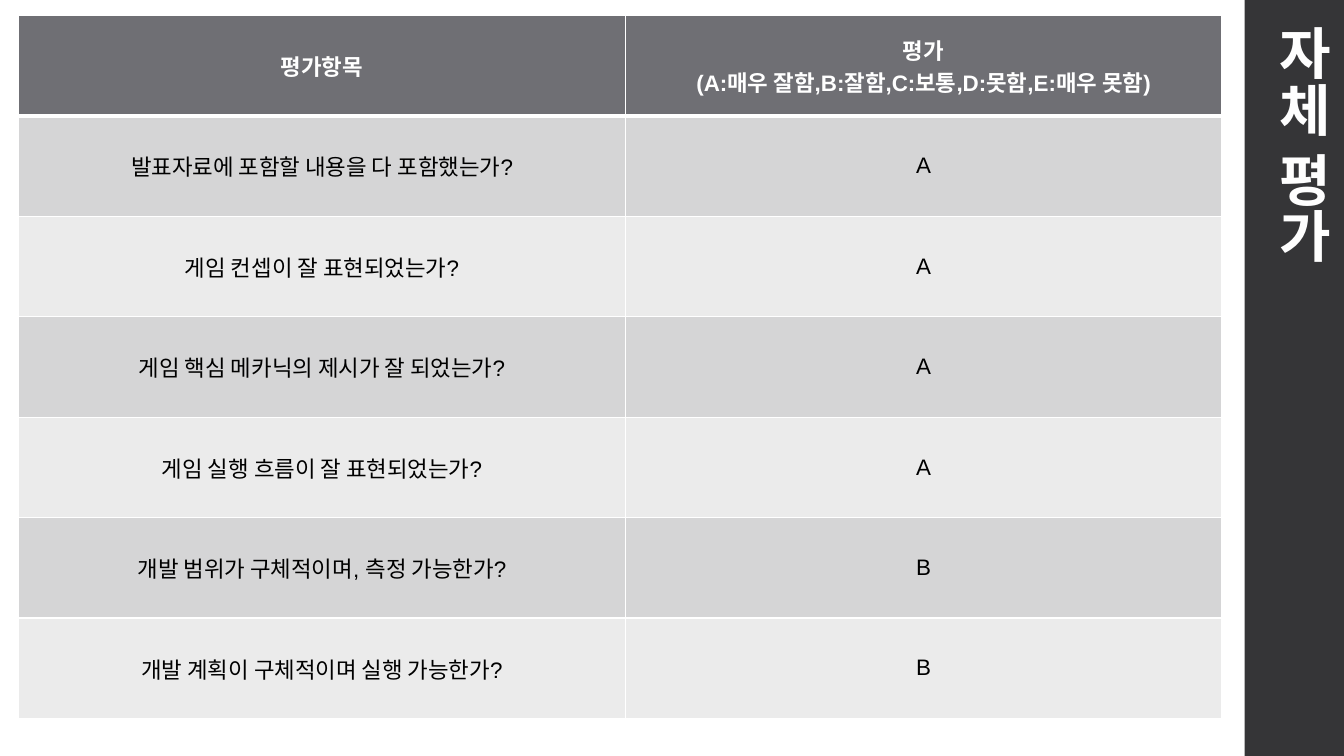
from dataclasses import dataclass

from lxml import etree
from pptx import Presentation
from pptx.dml.color import RGBColor
from pptx.enum.shapes import MSO_SHAPE
from pptx.enum.text import MSO_ANCHOR, MSO_AUTO_SIZE, PP_ALIGN
from pptx.oxml.ns import qn
from pptx.util import Pt

RECT = MSO_SHAPE.RECTANGLE
TOP, MIDDLE = MSO_ANCHOR.TOP, MSO_ANCHOR.MIDDLE
LEFT, CENTER = PP_ALIGN.LEFT, PP_ALIGN.CENTER
GROW = MSO_AUTO_SIZE.SHAPE_TO_FIT_TEXT
TITLE_ONLY = 5


@dataclass(frozen=True)
class Theme:
    sidebar: str = "353537"
    title: str = "FEFEFE"
    outline: str = "6F6F74"
    shadow: str = "000000"
    header: str = "6F6F74"
    header_text: str = "FFFFFF"
    bands: tuple = ("D5D5D6", "EBEBEB")
    body_text: str = "000000"
    border: str = "FFFFFF"
    title_font: str = "Cambria"
    table_font: str = "Arial"
    title_size: int = 40
    table_size: int = 16


THEME = Theme()
COLUMN_WIDTHS = (433.4, 426)
ROW_HEIGHT = 71.75
HEADINGS = ("평가항목", "평가\n(A:매우 잘함,B:잘함,C:보통,D:못함,E:매우 못함)")
RATINGS = (
    ("발표자료에 포함할 내용을 다 포함했는가?", "A"),
    ("게임 컨셉이 잘 표현되었는가?", "A"),
    ("게임 핵심 메카닉의 제시가 잘 되었는가?", "A"),
    ("게임 실행 흐름이 잘 표현되었는가?", "A"),
    ("개발 범위가 구체적이며, 측정 가능한가?", "B"),
    ("개발 계획이 구체적이며 실행 가능한가?", "B"),
)


def rgb(color):
    return RGBColor.from_string(color)


def add_child(parent, tag, **attrs):
    child = etree.SubElement(parent, qn(tag))
    for name, value in attrs.items():
        child.set(name, str(value))
    return child


def add_solid_fill(parent, color):
    return add_child(add_child(parent, "a:solidFill"), "a:srgbClr", val=color)


def style_font(font, name, size, color, bold):
    font.name = name
    font.size = Pt(size)
    font.color.rgb = rgb(color)
    font.bold = bold


def add_sidebar(s):
    sp = s.shapes.add_shape(RECT, Pt(889), Pt(0), Pt(71), Pt(540))
    sp.shadow.inherit = False
    sp.fill.solid()
    sp.fill.fore_color.rgb = rgb(THEME.sidebar)
    sp.line.fill.background()


def set_border(cell, side, width):
    ln = etree.Element(qn(f"a:ln{side}"), w=str(Pt(width)))
    add_solid_fill(ln, THEME.border)
    tcPr = cell._tc.get_or_add_tcPr()
    tcPr.insert(len(tcPr.findall("*")) - 1, ln)


def fill_cell(cell, text, fill, color, bold, top, bottom):
    cell.fill.solid()
    cell.fill.fore_color.rgb = rgb(fill)
    cell.vertical_anchor = MIDDLE
    cell.text = text
    for p in cell.text_frame.paragraphs:
        p.alignment = CENTER
        style_font(p.font, THEME.table_font, THEME.table_size, color, bold)
    for side, width in (("L", 1), ("R", 1), ("T", top), ("B", bottom)):
        set_border(cell, side, width)


def add_ratings_table(s):
    rows = (HEADINGS, *RATINGS)
    frame = s.shapes.add_table(len(rows), len(COLUMN_WIDTHS), Pt(13.3), Pt(11),
                               Pt(sum(COLUMN_WIDTHS)), Pt(ROW_HEIGHT * len(rows)))
    table = frame.table
    for column, width in zip(table.columns, COLUMN_WIDTHS):
        column.width = Pt(width)
    for i, texts in enumerate(rows):
        table.rows[i].height = Pt(ROW_HEIGHT)
        header = i == 0
        fill = THEME.header if header else THEME.bands[(i - 1) % 2]
        color = THEME.header_text if header else THEME.body_text
        top, bottom = 3 if i == 1 else 1, 3 if header else 1
        for j, text in enumerate(texts):
            fill_cell(table.cell(i, j), text, fill, color, header, top, bottom)


def add_text_effects(r):
    rPr = r._r.get_or_add_rPr()
    rPr.set("spc", "50")
    ln = etree.Element(qn("a:ln"), w=str(Pt(0.75)))
    add_solid_fill(ln, THEME.outline)
    rPr.insert(0, ln)
    effects = etree.Element(qn("a:effectLst"))
    shadow = add_child(effects, "a:outerShdw", blurRad=Pt(3), dist=Pt(2),
                       dir=2700000, algn="tl")
    add_child(add_child(shadow, "a:srgbClr", val=THEME.shadow), "a:alpha", val=40000)
    rPr.find(qn("a:solidFill")).addnext(effects)


def set_vertical_title(s, text):
    sp = s.shapes.title
    s.shapes._spTree.append(sp._element)
    sp.left, sp.top, sp.width, sp.height = Pt(898.5), Pt(14.4), Pt(63.4), Pt(346.3)
    tf = sp.text_frame
    tf.word_wrap = True
    tf.auto_size = GROW
    tf.vertical_anchor = TOP
    tf._txBody.bodyPr.set("vert", "eaVert")
    p = tf.paragraphs[0]
    p.alignment = LEFT
    r = p.add_run()
    r.text = text
    style_font(r.font, THEME.title_font, THEME.title_size, THEME.title, True)
    add_text_effects(r)


def main():
    prs = Presentation()
    prs.slide_width, prs.slide_height = Pt(960), Pt(540)
    s = prs.slides.add_slide(prs.slide_layouts[TITLE_ONLY])
    add_sidebar(s)
    add_ratings_table(s)
    set_vertical_title(s, "자체 평가")
    prs.save("out.pptx")


if __name__ == "__main__":
    main()
